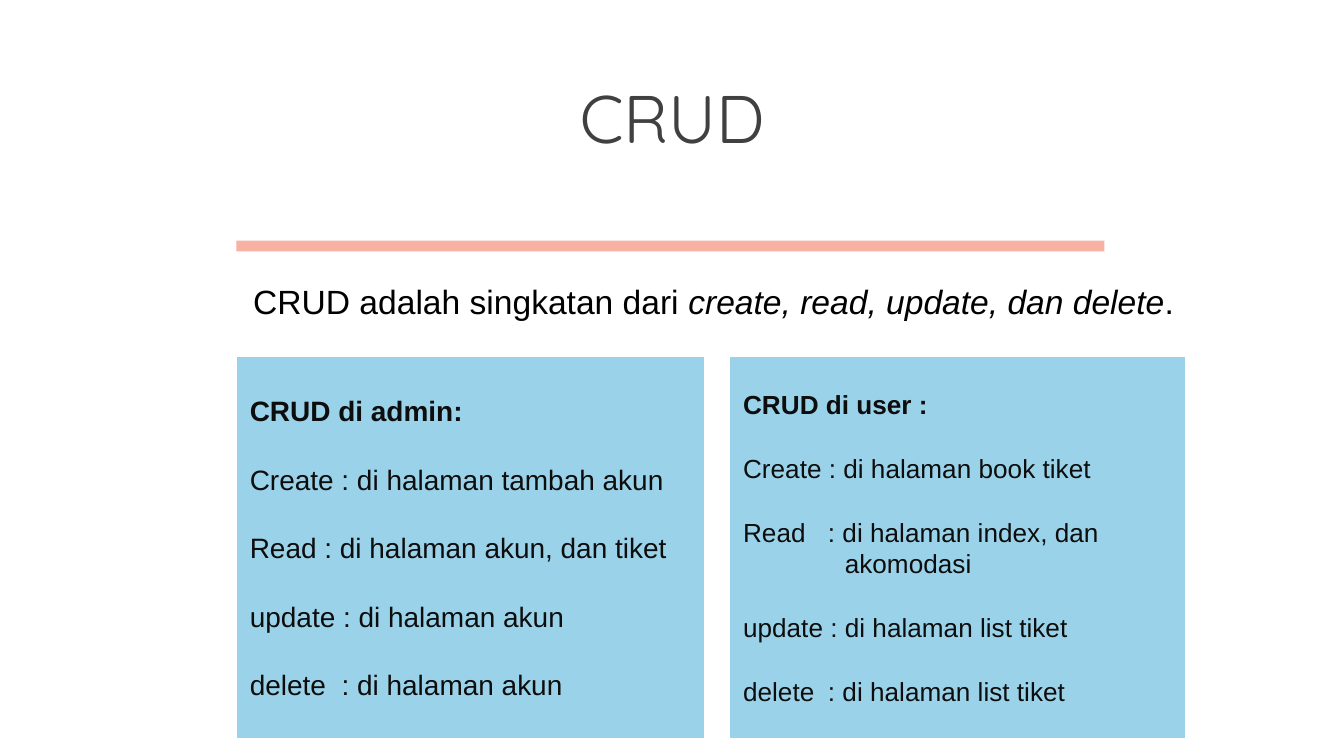
from pptx import Presentation
from pptx.dml.color import RGBColor
from pptx.enum.shapes import MSO_SHAPE as Shape
from pptx.enum.text import MSO_ANCHOR as Anchor, PP_ALIGN as Align
from pptx.oxml.ns import qn
from pptx.util import Pt
from lxml.etree import SubElement

BLACK = RGBColor(0, 0, 0)
GREY = RGBColor(0x40, 0x40, 0x40)
INK = RGBColor(0x0D, 0x0D, 0x0D)
PINK = RGBColor(0xF8, 0xB2, 0xA3)
BLUE = RGBColor(0x9A, 0xD3, 0xE9)


class Deck:
    face = "Arial"
    lead = 1.25

    def __init__(self):
        self.prs = Presentation()
        self.prs.slide_width, self.prs.slide_height = Pt(720), Pt(405)
        self.slide = self.prs.slides.add_slide(self.prs.slide_layouts[6])

    def style(self, para, size, color, face=None, bold=False):
        font = para.font
        font.name, font.size, font.bold = face or self.face, Pt(size), bold
        font.color.rgb = color

    def text(self, box, parts, size, color, face=None, anchor=Anchor.TOP):
        frame = self.slide.shapes.add_textbox(*map(Pt, box)).text_frame
        frame.word_wrap = True
        frame.vertical_anchor = anchor
        para = frame.paragraphs[0]
        para.alignment = Align.CENTER
        for words, slant in parts:
            run = para.add_run()
            run.text = words
            if slant:
                run.font.italic = True
        self.style(para, size, color, face)

    def block(self, box, fill, kind=Shape.RECTANGLE):
        shape = self.slide.shapes.add_shape(kind, *map(Pt, box))
        shape.shadow.inherit = False
        shape.fill.solid()
        shape.fill.fore_color.rgb = fill
        shape.line.fill.background()
        return shape

    def panel(self, box, size, stop, lines):
        frame = self.block(box, BLUE, Shape.FLOWCHART_PROCESS).text_frame
        frame.word_wrap = True
        frame.vertical_anchor = Anchor.MIDDLE
        for i, (words, indent) in enumerate(lines):
            para = frame.paragraphs[0] if i == 0 else frame.add_paragraph()
            para.add_run().text = words
            para.alignment = Align.LEFT
            props = para._p.get_or_add_pPr()
            if indent:
                props.set("marL", str(Pt(indent)))
            elif i:
                para.space_before = Pt(size * self.lead)
            if "\t" in words:
                tabs = SubElement(props, qn("a:tabLst"))
                SubElement(tabs, qn("a:tab"), pos=str(Pt(stop)), algn="l")
            self.style(para, size, INK, bold=i == 0)


def main():
    deck = Deck()
    deck.text((0, 39.6, 720, 45.4), [("CRUD", False)], 36, GREY,
              "Quicksand", Anchor.MIDDLE)
    left, top, high = 126.7, 191.5, 203.8
    deck.block((left, 128.9, 465, 5.8), PINK)
    deck.text((115.2, 147, 534.2, 87), [
        ("CRUD adalah singkatan dari ", False),
        ("create, read, update, dan delete", True),
        (".", False),
    ], 18, BLACK)
    deck.panel((left, top, 250.5, high), 15, 49.2, [
        ("CRUD di admin:", 0),
        ("Create : di halaman tambah akun", 0),
        ("Read : di halaman akun, dan tiket", 0),
        ("update : di halaman akun", 0),
        ("delete\t: di halaman akun", 0),
    ])
    deck.panel((391, top, 244, high), 14, 45.5, [
        ("CRUD di user :", 0),
        ("Create : di halaman book tiket", 0),
        ("Read\t: di halaman index, dan", 0),
        ("akomodasi", 54.5),
        ("update : di halaman list tiket", 0),
        ("delete\t: di halaman list tiket", 0),
    ])
    deck.prs.save("out.pptx")


if __name__ == "__main__":
    main()
